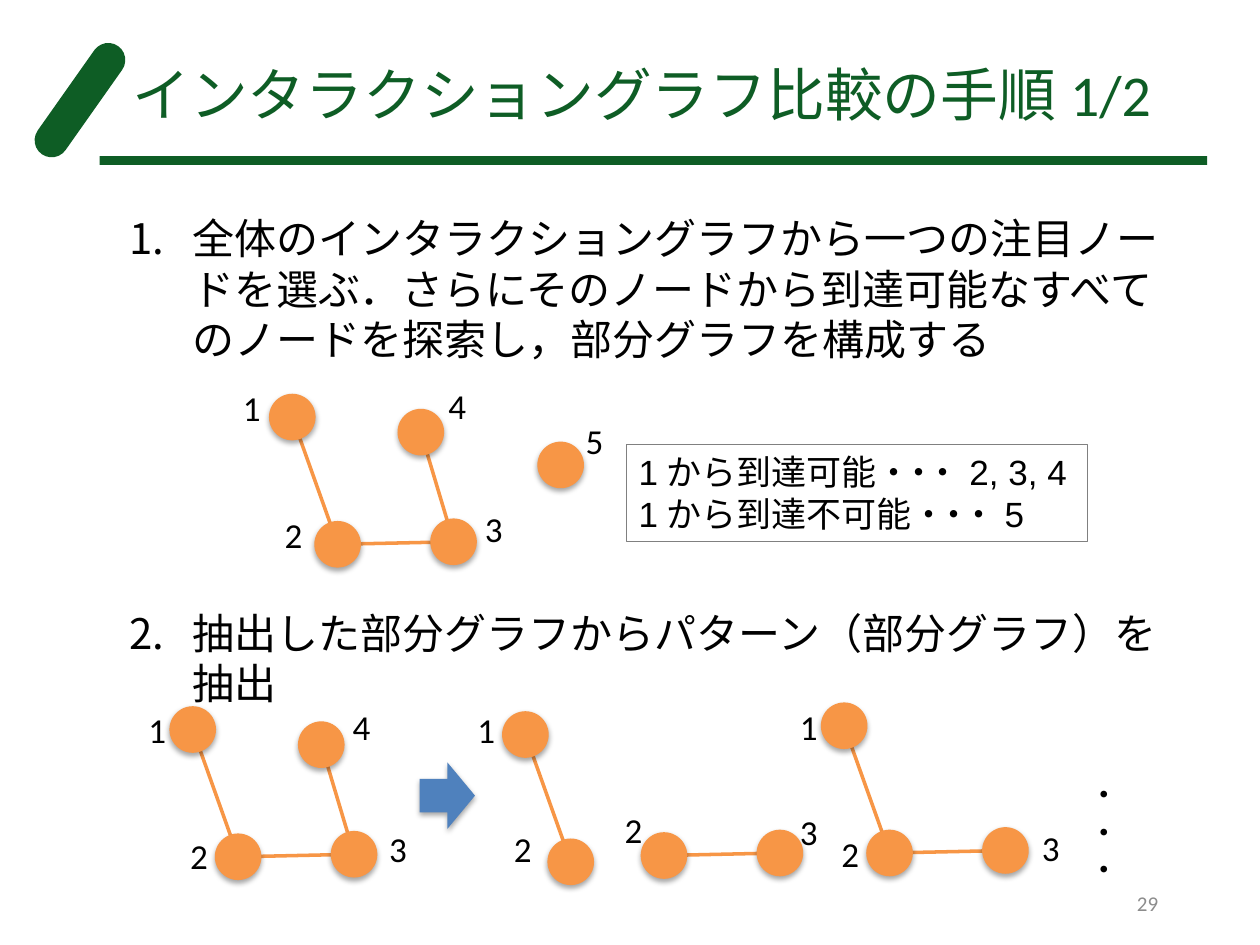
from dataclasses import dataclass

from lxml.etree import SubElement
from pptx import Presentation
from pptx.dml.color import RGBColor
from pptx.enum.shapes import MSO_CONNECTOR as Connector, MSO_SHAPE as Shape
from pptx.enum.text import MSO_ANCHOR as Anchor, MSO_AUTO_SIZE as AutoSize, PP_ALIGN as Align
from pptx.oxml.ns import qn
from pptx.util import Inches, Pt


@dataclass(frozen=True)
class Theme:
    """Colours, fonts and type sizes of the slide."""
    green: str = "0E5D25"
    orange: str = "F79646"
    blue: str = "4F81BD"
    black: str = "000000"
    border: str = "808080"
    muted: str = "8C8C8C"
    main_font: str = "Calibri"
    note_font: str = "Arial"
    title_size: float = 33
    body_size: float = 24
    label_size: float = 20
    dots_size: float = 18
    number_size: float = 12


class SlideBuilder:
    """Draws styled elements on the current slide."""

    def __init__(self, slide, theme):
        """Keep the slide and its theme."""
        self.slide = slide
        self.theme = theme

    def style(self, text_frame, size, color=None, font=None):
        """Format every run of a text frame."""
        for paragraph in text_frame.paragraphs:
            for run in paragraph.runs:
                run.font.size = Pt(size)
                run.font.name = font or self.theme.main_font
                run.font.color.rgb = RGBColor.from_string(color or self.theme.black)

    def title(self, text, box):
        """Place and fill the title placeholder."""
        title = self.slide.shapes.title
        title.left, title.top, title.width, title.height = map(Inches, box)
        text_frame = title.text_frame
        text_frame.text = text
        text_frame.word_wrap = True
        text_frame.auto_size = AutoSize.NONE
        text_frame.vertical_anchor = Anchor.TOP
        text_frame.paragraphs[0].alignment = Align.LEFT
        self.style(text_frame, self.theme.title_size, self.theme.green)

    def text(self, text, box, size, color=None, font=None, align=Align.LEFT, anchor=Anchor.TOP):
        """Add a text box and return it."""
        shape = self.slide.shapes.add_textbox(*map(Inches, box))
        text_frame = shape.text_frame
        text_frame.text = text
        text_frame.word_wrap = True
        text_frame.vertical_anchor = anchor
        for paragraph in text_frame.paragraphs:
            paragraph.alignment = align
        self.style(text_frame, size, color, font)
        return shape

    def steps(self, items, box, gap):
        """Add a numbered list with a gap in points between its items."""
        text_frame = self.text("\n".join(items), box, self.theme.body_size).text_frame
        for index, paragraph in enumerate(text_frame.paragraphs):
            if index:
                paragraph.space_before = Pt(gap)
            properties = paragraph._p.get_or_add_pPr()
            properties.set("marL", str(Inches(0.5)))
            properties.set("indent", str(Inches(-0.5)))
            SubElement(properties, qn("a:buFont"), typeface="+mj-lt")
            SubElement(properties, qn("a:buAutoNum"), type="arabicPeriod")

    def shape(self, kind, box, color, parent=None, shadow=False):
        """Add a filled preset shape, with or without a soft shadow."""
        shape = (parent or self.slide).shapes.add_shape(kind, *map(Inches, box))
        shape.fill.solid()
        shape.fill.fore_color.rgb = RGBColor.from_string(color)
        shape.line.fill.background()
        shape.shadow.inherit = False
        if shadow:
            effects = shape._element.spPr.find(qn("a:effectLst"))
            outer = SubElement(effects, qn("a:outerShdw"), blurRad=str(Pt(3.1)),
                               dist=str(Pt(1.8)), dir="5400000", rotWithShape="0")
            shade = SubElement(outer, qn("a:srgbClr"), val=self.theme.black)
            SubElement(shade, qn("a:alpha"), val="35000")
        return shape

    def edge(self, start, end, parent):
        """Add a straight edge between two node centres."""
        line = parent.shapes.add_connector(Connector.STRAIGHT, *map(Inches, (*start, *end)))
        line.line.color.rgb = RGBColor.from_string(self.theme.orange)
        line.line.width = Pt(2)
        SubElement(line._element.spPr, qn("a:effectLst"))

    def graph(self, nodes, edges, offset, labels, grouped=False):
        """Draw a part of the interaction graph, shifted, with its labels."""
        parent = self.slide.shapes.add_group_shape() if grouped else self.slide
        centres = {name: (NODES[name][0] + offset[0], NODES[name][1] + offset[1])
                   for name in nodes}
        for first, second in edges:
            self.edge(centres[first], centres[second], parent)
        for x, y in centres.values():
            box = (x - NODE_SIZE / 2, y - NODE_SIZE / 2, NODE_SIZE, NODE_SIZE)
            self.shape(Shape.OVAL, box, self.theme.orange, parent, shadow=True)
        for name, corner in zip(nodes, labels):
            self.text(name, (*corner, 0.42, 0.43), self.theme.label_size)

    def note(self, text, box):
        """Add a thinly outlined note whose dots are set tightly."""
        shape = self.text(text, box, self.theme.label_size, font=self.theme.note_font)
        shape.line.color.rgb = RGBColor.from_string(self.theme.border)
        shape.line.width = Pt(0.75)
        for paragraph in shape.text_frame.paragraphs:
            parts = paragraph.text.partition(DOTS)
            paragraph.text = parts[0]
            for part in parts[1:]:
                paragraph.add_run().text = part
            paragraph.runs[1].font._element.set("spc", "-600")
        self.style(shape.text_frame, self.theme.label_size, font=self.theme.note_font)


DOTS = "・・・"
NODE_SIZE = 0.37
NODES = {"1": (2.32, 3.31), "2": (2.68, 4.32), "3": (3.6, 4.3),
         "4": (3.34, 3.43), "5": (4.45, 3.69)}
CHAIN = ("12", "23", "34")
GRAPHS = [
    ("1234", CHAIN, (0, 0), [(1.83, 3.02), (2.16, 4.03), (3.75, 3.98), (3.46, 3)], True),
    ("5", (), (0, 0), [(4.55, 3.28)]),
    ("1234", CHAIN, (-0.79, 2.48), [(1.08, 5.57), (1.41, 6.57), (2.99, 6.52), (2.7, 5.55)], True),
    ("12", CHAIN[:1], (1.85, 2.52), [(3.69, 5.57), (3.98, 6.52)]),
    ("23", CHAIN[1:2], (2.59, 2.47), [(4.86, 6.37), (6.25, 6.38)]),
    ("123", CHAIN[:2], (4.38, 2.45), [(6.25, 5.55), (6.58, 6.56), (8.17, 6.51)]),
]
STEPS = [
    "全体のインタラクショングラフから一つの注目ノードを選ぶ．さらにそのノードから到達可能なすべてのノードを探索し，部分グラフを構成する",
    "抽出した部分グラフからパターン（部分グラフ）を抽出",
]


def main():
    """Build the slide and save it."""
    presentation = Presentation()
    presentation.slide_width, presentation.slide_height = Inches(10), Inches(7.5)
    theme = Theme()
    slide = presentation.slides.add_slide(presentation.slide_layouts[5])
    builder = SlideBuilder(slide, theme)

    slash = builder.shape(Shape.ROUNDED_RECTANGLE, (0.5, 0.27, 0.27, 1.05), theme.green)
    slash.adjustments[0] = 0.5
    slash.rotation = 35.2
    builder.shape(Shape.RECTANGLE, (0.79, 1.24, 8.79, 0.07), theme.green)
    builder.title("インタラクショングラフ比較の手順1/2", (0.95, 0.42, 8.55, 1.25))
    builder.steps(STEPS, (0.93, 1.64, 8.37, 5.63), gap=139)
    builder.text("29", (7.04, 6.97, 2.25, 0.4), theme.number_size, theme.muted,
                 align=Align.RIGHT, anchor=Anchor.MIDDLE)

    for graph in GRAPHS:
        builder.graph(*graph)
    builder.note(f"1から到達可能{DOTS}2, 3, 4\n1から到達不可能{DOTS}5", (4.97, 3.53, 3.66, 0.77))
    builder.shape(Shape.RIGHT_ARROW, (3.33, 6.05, 0.44, 0.53), theme.blue, shadow=True)
    builder.text(DOTS, (8.54, 6.1, 0.58, 0.4), theme.dots_size, font=theme.note_font)

    presentation.save("out.pptx")


if __name__ == "__main__":
    main()
